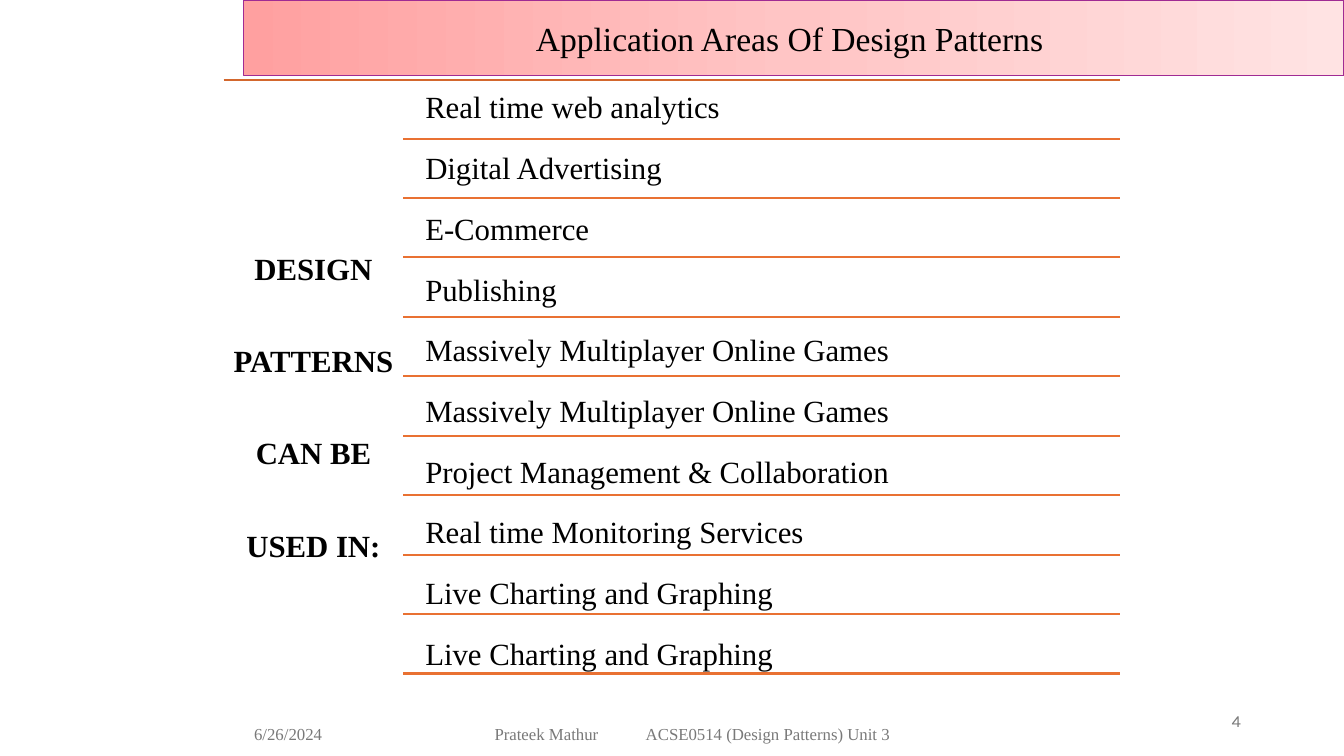
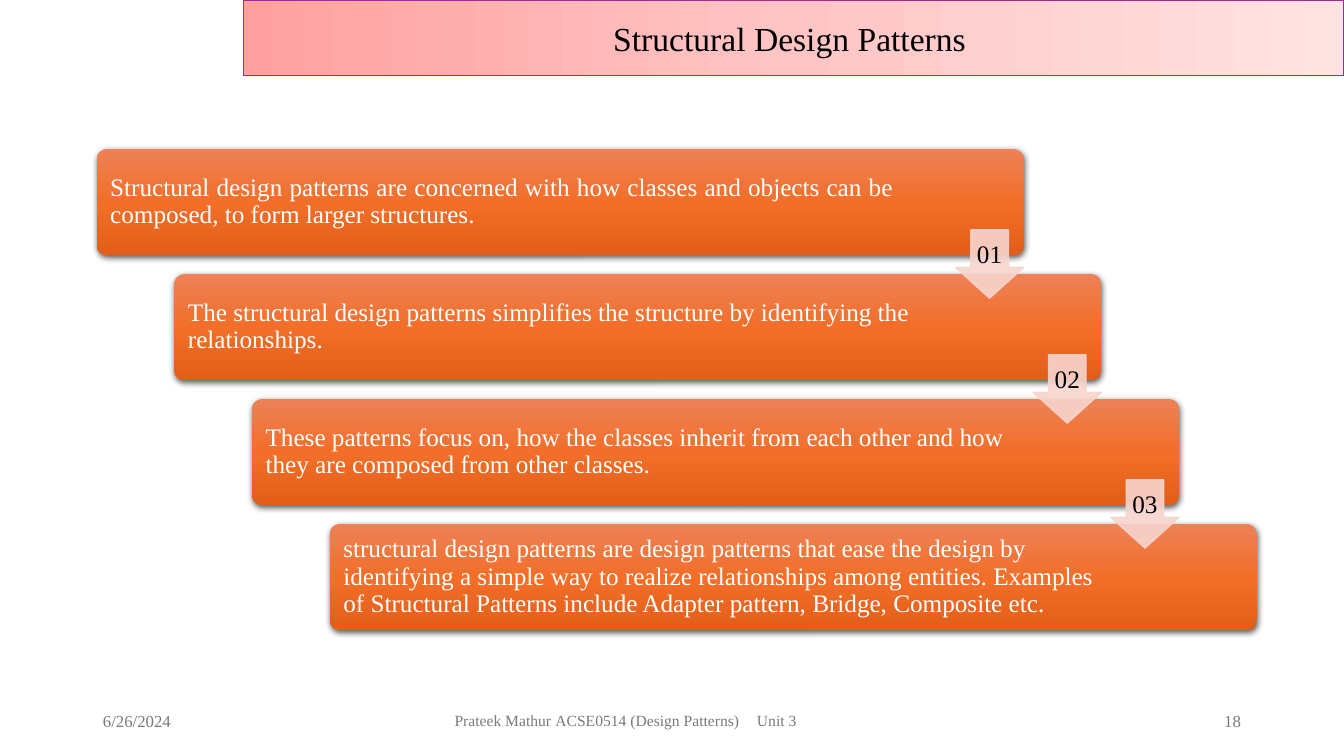
import copy

import pptx
import pptx.dml.color
import pptx.enum.shapes
import pptx.enum.text
import pptx.oxml.ns
import pptx.util
from lxml import etree

RGBColor = pptx.dml.color.RGBColor
ALIGN = pptx.enum.text.PP_ALIGN
ANCHOR = pptx.enum.text.MSO_ANCHOR
SHAPE = pptx.enum.shapes.MSO_SHAPE
qn = pptx.oxml.ns.qn

EMU_PER_PX = 9525
SLIDE_WIDTH, SLIDE_HEIGHT = 1280, 720
TITLE_AND_BODY, TITLE_ONLY = 1, 5
SERIF = "Times New Roman"

BLACK = RGBColor(0x00, 0x00, 0x00)
WHITE = RGBColor(0xFF, 0xFF, 0xFF)
FOOTER_GREY = RGBColor(0x79, 0x79, 0x79)
TITLE_EDGE = RGBColor(0xA0, 0x2B, 0x93)
TITLE_STOPS = [RGBColor(0xFF, 0xA0, 0xA0), RGBColor(0xFF, 0xC5, 0xC5), RGBColor(0xFF, 0xE3, 0xE3)]
STEP_STOPS = [RGBColor(0xED, 0x82, 0x57), RGBColor(0xF2, 0x6E, 0x29), RGBColor(0xE2, 0x5F, 0x1A)]
RULE_ORANGE = RGBColor(0xE9, 0x71, 0x32)
TOP_RULE_ORANGE = RGBColor(0xD3, 0x67, 0x2D)
ARROW_PINK = RGBColor(0xF7, 0xD5, 0xCE)

FOOTER_PARTS = ["Prateek Mathur", "ACSE0514 (Design Patterns)", "Unit 3"]
AREAS = [
    "Real time web analytics",
    "Digital Advertising",
    "E-Commerce",
    "Publishing",
    "Massively Multiplayer Online Games",
    "Massively Multiplayer Online Games",
    "Project Management & Collaboration",
    "Real time Monitoring Services",
    "Live Charting and Graphing",
    "Live Charting and Graphing",
]
STEPS = [
    "Structural design patterns are concerned with how classes and objects can be composed, "
    "to form larger structures.",
    "The structural design patterns simplifies the structure by identifying the relationships.",
    "These patterns focus on, how the classes inherit from each other and how they are composed "
    "from other classes.",
    "structural design patterns are design patterns that ease the design by identifying a simple "
    "way to realize relationships among entities. Examples of Structural Patterns include "
    "Adapter pattern, Bridge, Composite etc.",
]


def px(length):
    return pptx.util.Emu(round(length * EMU_PER_PX))


def set_values(target, values):
    for name, value in values.items():
        setattr(target, name, value)


def place(shape, left, top, width, height):
    set_values(shape, {"left": px(left), "top": px(top), "width": px(width), "height": px(height)})


def write(shape, lines, size, color=BLACK, font=SERIF, bold=False, anchor=ANCHOR.MIDDLE,
          insets=(10, 5, 10, 5), tabs=(), **para_format):
    """Fill a shape with one paragraph per line; insets run left, top, right, bottom."""
    frame = shape.text_frame
    sides = ("margin_left", "margin_top", "margin_right", "margin_bottom")
    set_values(frame, dict(zip(sides, map(px, insets))))
    set_values(frame, {"word_wrap": True, "vertical_anchor": anchor,
                       "auto_size": pptx.enum.text.MSO_AUTO_SIZE.NONE})
    para_values = {"alignment": ALIGN.LEFT, "space_before": pptx.util.Pt(0)} | para_format
    font_values = {"name": font, "size": pptx.util.Pt(size), "bold": bold}
    for index, line in enumerate(lines):
        para = frame.add_paragraph() if index else frame.paragraphs[0]
        properties = para._p.get_or_add_pPr()
        properties.set("marL", "0")
        properties.set("indent", "0")
        etree.SubElement(properties, qn("a:buNone"))
        if tabs:
            tab_list = etree.SubElement(properties, qn("a:tabLst"))
            for stop in tabs:
                etree.SubElement(tab_list, qn("a:tab"), pos=str(px(stop)), algn="l")
        set_values(para, para_values)
        span = para.add_run()
        span.text = line
        set_values(span.font, font_values)
        span.font.color.rgb = color


def add_text(page, bounds, lines, size, **text_format):
    box = page.shapes.add_textbox(*map(px, bounds))
    write(box, lines, size, **text_format)


def fill_gradient(shape, colors, angle):
    """Spread three colours evenly; the angle counts anticlockwise."""
    shape.fill.gradient()
    stop_list = shape._element.spPr.find(".//" + qn("a:gsLst"))
    stop_list.insert(1, copy.deepcopy(stop_list[0]))
    for index, (stop, color) in enumerate(zip(shape.fill.gradient_stops, colors)):
        stop.color.rgb = color
        stop.position = index / 2
    shape.fill.gradient_angle = angle


def add_rule(page, left, right, y, color):
    rule = page.shapes.add_connector(pptx.enum.shapes.MSO_CONNECTOR.STRAIGHT,
                                     px(left), px(y), px(right), px(y))
    rule.line.color.rgb = color
    rule.line.width = pptx.util.Pt(1.5)
    etree.SubElement(rule._element.spPr, qn("a:effectLst"))


def add_page(deck, layout, title):
    page = deck.slides.add_slide(deck.slide_layouts[layout])
    band = page.shapes.title
    place(band, 232, 0, 1048, 72)
    fill_gradient(band, TITLE_STOPS, 0)
    band.line.color.rgb = TITLE_EDGE
    band.line.width = pptx.util.Pt(1)
    write(band, [title], 24, insets=(10, 5, 18, 5), alignment=ALIGN.CENTER)
    return page


def add_footer(page, date_left, credit_left, top, credit_size, number, number_font=SERIF):
    add_text(page, (date_left, top, 224, 38), ["6/26/2024"], 12, color=FOOTER_GREY)
    add_text(page, (credit_left, top, 480, 38), ["\t".join(FOOTER_PARTS)], credit_size,
             color=FOOTER_GREY, insets=(0, 5, 0, 5),
             tabs=(12.5 * credit_size, 33.5 * credit_size))
    add_text(page, (904, 667, 288, 38), [number], 12, color=FOOTER_GREY, font=number_font,
             alignment=ALIGN.RIGHT)


def add_step(page, left, top, text, right_inset, alignment):
    box = page.shapes.add_shape(SHAPE.ROUNDED_RECTANGLE, *map(px, (left, top, 883, 101)))
    box.adjustments[0] = 0.1
    fill_gradient(box, STEP_STOPS, 270)
    box.line.fill.background()
    box.shadow.inherit = False
    effects = box._element.spPr.find(qn("a:effectLst"))
    shadow = etree.SubElement(effects, qn("a:outerShdw"), blurRad=str(pptx.util.Pt(4.5)),
                              dist=str(pptx.util.Pt(1.5)), dir="5400000",
                              algn="ctr", rotWithShape="0")
    shade = etree.SubElement(shadow, qn("a:srgbClr"), val=str(BLACK))
    etree.SubElement(shade, qn("a:alpha"), val="63000")
    write(box, [text], 18, color=WHITE, insets=(10, 10, right_inset, 10), alignment=alignment,
          line_spacing=0.9, space_after=pptx.util.Pt(6))


def add_arrow(page, left, top, label):
    arrow = page.shapes.add_shape(SHAPE.DOWN_ARROW, *map(px, (left, top, 65, 65)))
    arrow.adjustments[0] = 0.55
    arrow.adjustments[1] = 0.45
    arrow.shadow.inherit = False
    arrow.fill.solid()
    arrow.fill.fore_color.rgb = ARROW_PINK
    arrow.line.color.rgb = ARROW_PINK
    arrow.line.width = pptx.util.Pt(1)
    for color in arrow._element.spPr.iter(qn("a:srgbClr")):
        etree.SubElement(color, qn("a:alpha"), val="90000")
    write(arrow, [label], 18, insets=(3, 3, 3, 3), alignment=ALIGN.CENTER,
          line_spacing=0.9, space_after=pptx.util.Pt(6))


def build_areas(deck):
    page = add_page(deck, TITLE_AND_BODY, "Application Areas Of Design Patterns")
    add_rule(page, 213, 1067, 76, TOP_RULE_ORANGE)
    add_text(page, (213, 76, 171, 569), ["DESIGN PATTERNS CAN BE USED IN:"], 22, bold=True,
             insets=(8, 9, 8, 9), alignment=ALIGN.CENTER, line_spacing=2.5,
             space_after=pptx.util.Pt(8))
    body = page.placeholders[1]
    place(body, 396, 79, 670, 570)
    write(body, AREAS, 22, anchor=ANCHOR.TOP, insets=(9, 9, 9, 9), line_spacing=0.9,
          space_after=pptx.util.Pt(19.6))
    for index in range(len(AREAS)):
        add_rule(page, 384, 1067, 132 + 56.6 * index, RULE_ORANGE)
    add_footer(page, 232, 471, 680, 12, "4", "Karla")


def build_steps(deck):
    page = add_page(deck, TITLE_ONLY, "Structural Design Patterns")
    corners = [(92 + 74 * index, 142 + 119 * index) for index in range(len(STEPS))]
    for index, (text, (left, top)) in enumerate(zip(STEPS, corners)):
        right_inset, alignment = (149, ALIGN.LEFT) if index else (121, ALIGN.JUSTIFY)
        add_step(page, left, top, text, right_inset, alignment)
    for number, (left, top) in enumerate(corners[:-1], start=1):
        add_arrow(page, left + 818, top + 77, f"{number:02d}")
    add_footer(page, 88, 433, 667, 11.1, "18")


def main():
    deck = pptx.Presentation()
    set_values(deck, {"slide_width": px(SLIDE_WIDTH), "slide_height": px(SLIDE_HEIGHT)})
    build_areas(deck)
    build_steps(deck)
    deck.save("out.pptx")


if __name__ == "__main__":
    main()
